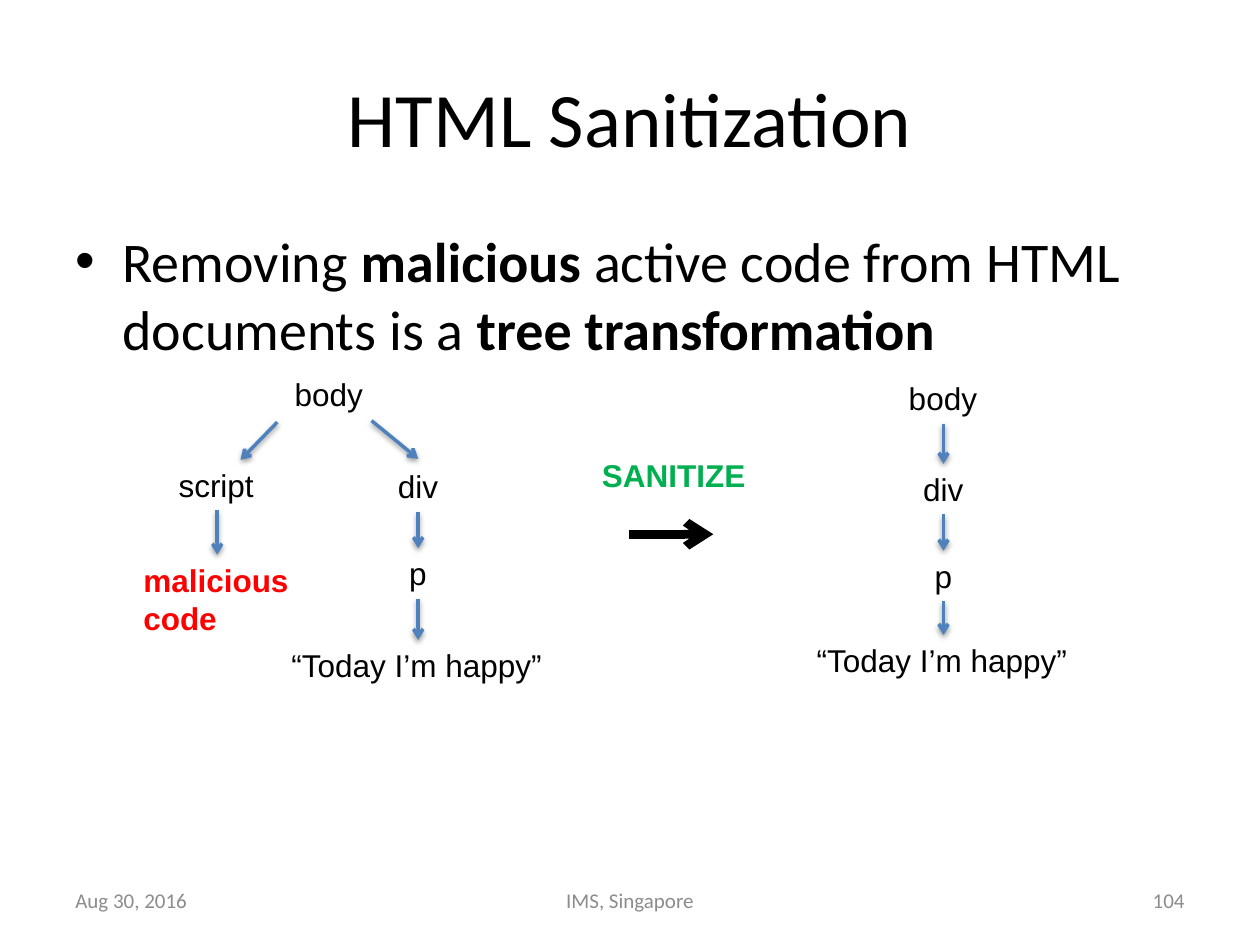
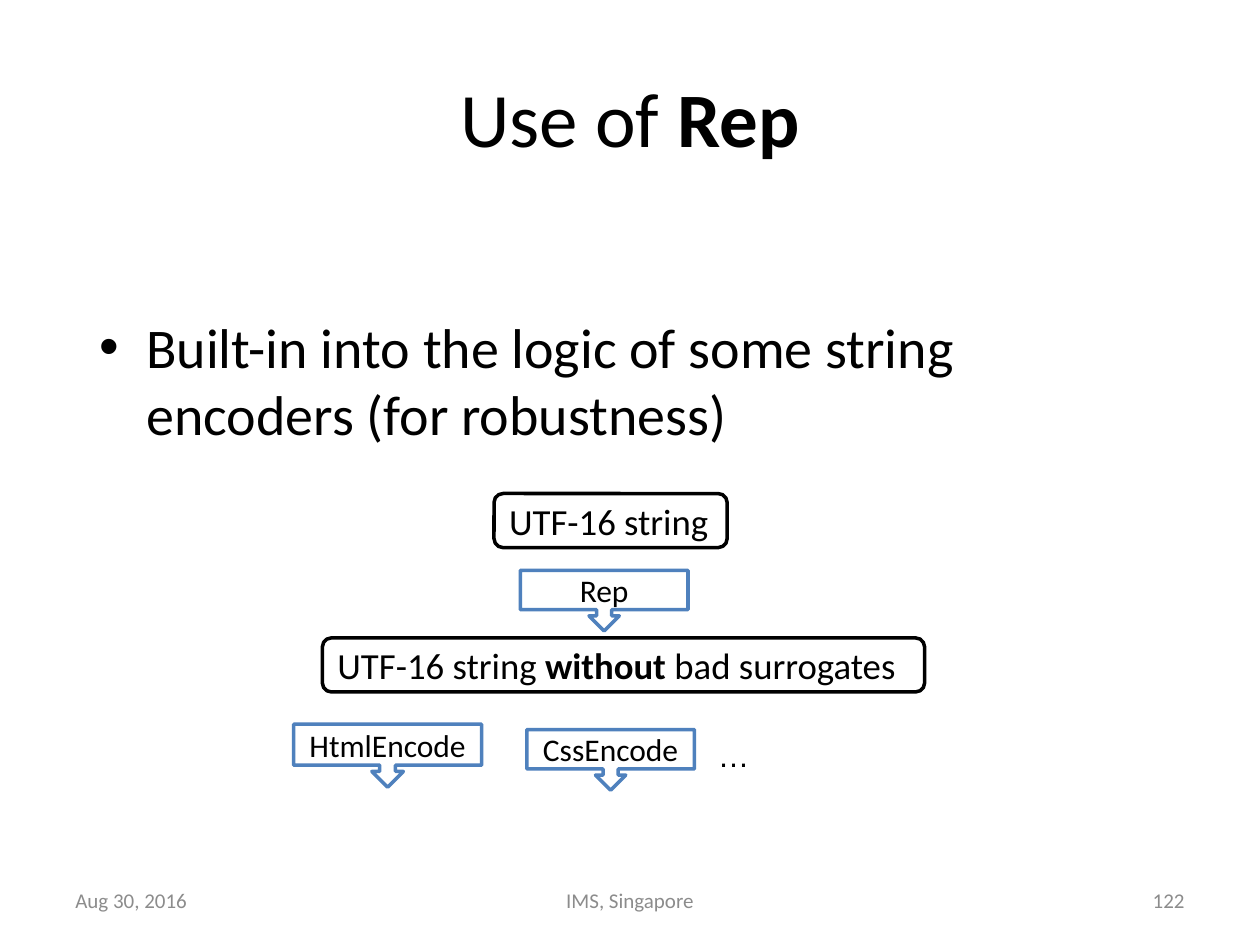
from dataclasses import dataclass

from lxml import etree
from pptx import Presentation
from pptx import util as u
from pptx.dml.color import RGBColor
from pptx.enum import shapes, text
from pptx.oxml import parse_xml
from pptx.oxml.ns import nsdecls, qn

LEFT, CENTER, RIGHT = text.PP_ALIGN.LEFT, text.PP_ALIGN.CENTER, text.PP_ALIGN.RIGHT
TOP, MIDDLE = text.MSO_ANCHOR.TOP, text.MSO_ANCHOR.MIDDLE


@dataclass(frozen=True)
class Theme:
    ink: str = "000000"
    paper: str = "FFFFFF"
    accent: str = "4F81BD"
    danger: str = "FF0000"
    success: str = "00B050"
    muted: str = "8C8C8C"
    heading_font: str = "Calibri"
    label_font: str = "Arial"
    title_size: int = 44
    bullet_size: int = 32
    stage_size: int = 21
    label_size: int = 18
    footer_size: int = 12
    outline: int = 2


THEME = Theme()
LABEL_HEIGHT = 1.02
NODE_WIDTHS = {"body": 1.9, "script": 2.06, "div": 1.32, "p": 0.86,
               "“Today I’m happy”": 5.61}


def cm(*lengths):
    return [u.Cm(length) for length in lengths]


def write(para, content, size, font=THEME.heading_font, color=THEME.ink, align=LEFT):
    """Fill a paragraph; words between asterisks are bold."""
    para.alignment = align
    for index, piece in enumerate(content.split("*")):
        if piece:
            span = para.add_run()
            span.text = piece
            span.font.name = font
            span.font.size = u.Pt(size)
            span.font.bold = index % 2 == 1
            span.font.color.rgb = RGBColor.from_string(color)


def add_text(page, area, content, size, anchor=TOP, wrap=True, **style):
    box = page.shapes.add_textbox(*cm(*area))
    frame = box.text_frame
    frame.word_wrap = wrap
    frame.vertical_anchor = anchor
    for index, line in enumerate(content.split("\n")):
        para = frame.add_paragraph() if index else frame.paragraphs[0]
        write(para, line, size, **style)
    return box


def add_label(page, center, top, width, content, height=LABEL_HEIGHT, color=THEME.ink):
    return add_text(page, (center - width / 2, top, width, height), content,
                    THEME.label_size, wrap=False, font=THEME.label_font, color=color)


def add_node(page, center, top, tag):
    return add_label(page, center, top, NODE_WIDTHS[tag], tag)


def add_bullet(page, area, content):
    box = add_text(page, area, content, THEME.bullet_size)
    para = box.text_frame.paragraphs[0]
    para.space_before = u.Pt(0.2 * THEME.bullet_size)
    props = para._p.get_or_add_pPr()
    indent = u.Cm(0.95)
    props.set("marL", str(indent))
    props.set("indent", str(-indent))
    etree.SubElement(props, qn("a:buFont")).set("typeface", "Arial")
    etree.SubElement(props, qn("a:buChar")).set("char", "•")


def add_arrow(page, start=(0, 0), end=(0, 0), color=THEME.accent,
              width=THEME.outline, shadow=True):
    arrow = page.shapes.add_connector(shapes.MSO_CONNECTOR.STRAIGHT, *cm(*start, *end))
    arrow.line.color.rgb = RGBColor.from_string(color)
    arrow.line.width = u.Pt(width)
    etree.SubElement(arrow.line._get_or_add_ln(), qn("a:tailEnd")).set("type", "arrow")
    cast = (f'<a:outerShdw blurRad="{u.Pt(3.1)}" dist="{u.Pt(1.6)}" dir="5400000" '
            f'rotWithShape="0"><a:srgbClr val="{THEME.ink}"><a:alpha val="38000"/>'
            '</a:srgbClr></a:outerShdw>') if shadow else ""
    arrow._element.spPr.append(
        parse_xml(f'<a:effectLst {nsdecls("a")}>{cast}</a:effectLst>'))
    return arrow


def join(page, *nodes):
    """Link each node's bottom to the top of the next one."""
    for parent, child in zip(nodes, nodes[1:]):
        arrow = add_arrow(page)
        arrow.begin_connect(parent, 2)
        arrow.end_connect(child, 0)


def add_box(page, preset, area, content, size, line, align):
    box = page.shapes.add_shape(preset, *cm(*area))
    box.shadow.inherit = False
    box.fill.solid()
    box.fill.fore_color.rgb = RGBColor.from_string(THEME.paper)
    box.line.color.rgb = RGBColor.from_string(line)
    box.line.width = u.Pt(THEME.outline)
    box.text_frame.vertical_anchor = MIDDLE
    write(box.text_frame.paragraphs[0], content, size, align=align)


def add_stage(page, left, top, width, content):
    add_box(page, shapes.MSO_SHAPE.ROUNDED_RECTANGLE, (left, top, width, 1.09),
            content, THEME.stage_size, THEME.ink, LEFT)


def add_encoder(page, left, top, content, width=3.38, height=1.22):
    add_box(page, shapes.MSO_SHAPE.DOWN_ARROW_CALLOUT, (left, top, width, height),
            content, THEME.label_size, THEME.accent, CENTER)


def add_page(deck, title, number):
    page = deck.slides.add_slide(deck.slide_layouts.get_by_name("Title Only"))
    heading = page.shapes.title
    heading.left, heading.top, heading.width, heading.height = cm(1.27, 0.76, 22.86, 3.18)
    heading.text_frame.vertical_anchor = MIDDLE
    write(heading.text_frame.paragraphs[0], title, THEME.title_size, align=CENTER)
    footers = [(1.27, 5.93, "Aug 30, 2016", LEFT),
               (8.68, 8.04, "IMS, Singapore", CENTER),
               (18.2, 5.93, str(number), RIGHT)]
    for left, width, content, align in footers:
        add_text(page, (left, 17.65, width, 1.01), content, THEME.footer_size,
                 anchor=MIDDLE, color=THEME.muted, align=align)
    return page


def build_sanitization(deck):
    page = add_page(deck, "HTML Sanitization", 104)
    add_bullet(page, (1.27, 4.45, 22.86, 13.13),
               "Removing *malicious *active code from HTML documents is a "
               "*tree transformation*")

    script_x, div_x, clean_x = 4.38, 8.43, 19.02
    quote = "“Today I’m happy”"

    add_node(page, 6.64, 7.44, "body")
    script = add_node(page, script_x, 9.27, "script")
    malicious = add_label(page, script_x, 11.18, 3.48, "*malicious*\n*code*",
                          height=1.8, color=THEME.danger)
    kept = [add_node(page, div_x, top, tag)
            for top, tag in ((9.3, "div"), (11.05, "p"), (12.9, quote))]
    add_arrow(page, (5.59, 8.51), (4.85, 9.27))
    add_arrow(page, (7.49, 8.48), (div_x, 9.25))
    join(page, script, malicious)
    join(page, *kept)

    add_label(page, 13.6, 9.07, 3.43, "*SANITIZE*", color=THEME.success)
    add_arrow(page, (12.67, 10.77), (14.38, 10.77), THEME.ink, width=5, shadow=False)

    clean = [add_node(page, clean_x, top, tag)
             for top, tag in ((7.52, "body"), (9.35, "div"), (11.1, "p"), (12.8, quote))]
    join(page, *clean)


def build_rep(deck):
    page = add_page(deck, "Use of *Rep*", 122)
    add_bullet(page, (1.75, 6.17, 21.89, 1.55),
               "Built-in into the logic of some string encoders (for robustness)")
    add_stage(page, 9.96, 9.95, 4.7, "UTF-16 string")
    add_encoder(page, 10.49, 11.5, "Rep")
    add_stage(page, 6.5, 12.86, 12.14, "UTF-16 string *without* bad surrogates")
    add_encoder(page, 5.92, 14.6, "HtmlEncode", width=3.79, height=1.27)
    add_encoder(page, 10.62, 14.71, "CssEncode")
    add_text(page, (14.22, 14.71, 2.24, LABEL_HEIGHT), "…", THEME.label_size,
             font=THEME.label_font)


def main():
    deck = Presentation()
    deck.slide_width, deck.slide_height = cm(25.4, 19.05)
    build_sanitization(deck)
    build_rep(deck)
    deck.save("out.pptx")


if __name__ == "__main__":
    main()
